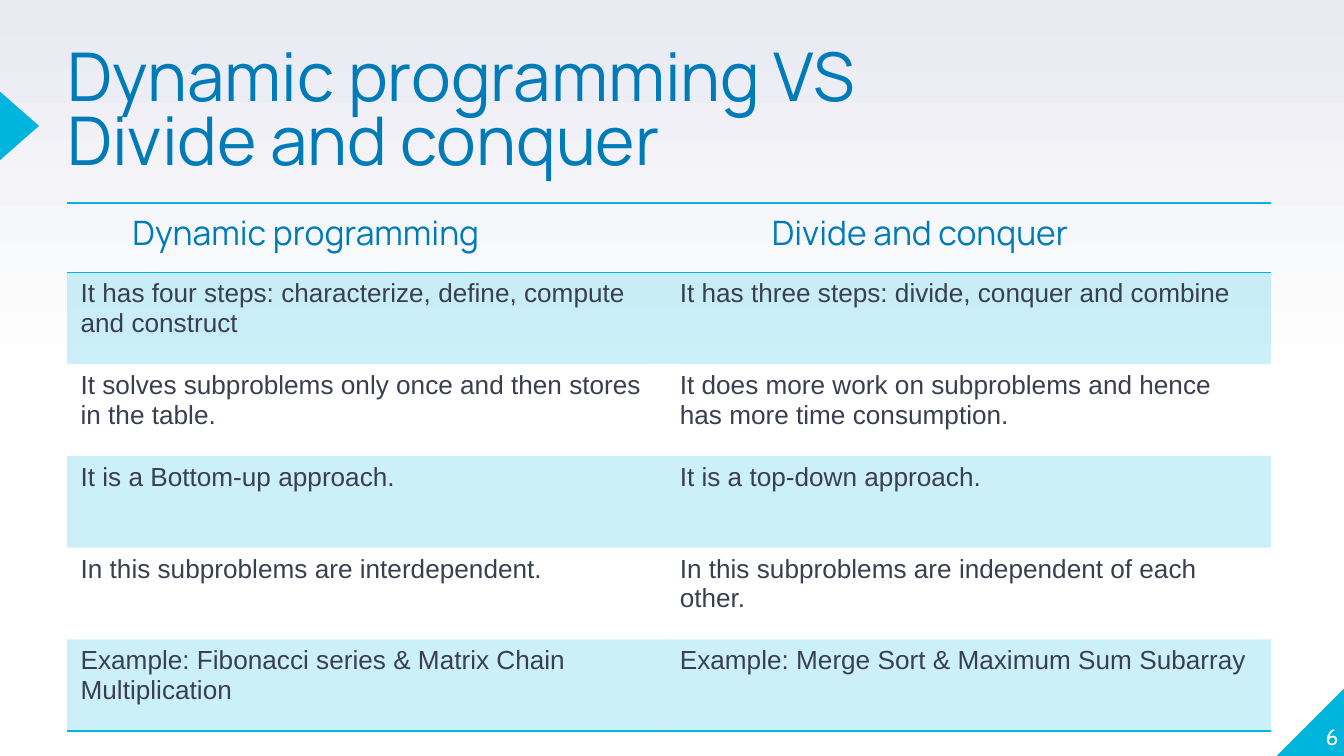
from copy import deepcopy
from dataclasses import dataclass

from lxml import etree
from pptx import Presentation
from pptx import util as u
from pptx.dml.color import RGBColor
from pptx.enum import shapes, text
from pptx.oxml.ns import qn

Pt = u.Pt


@dataclass(frozen=True)
class Theme:
    """Colours, fonts and type sizes of the slide."""
    accent: str = "00B5DD"
    heading: str = "007BB9"
    body: str = "3A3F50"
    white: str = "FFFFFF"
    haze: str = "E9EAF2"
    heading_font: str = "Manrope"
    body_font: str = "Arial"
    number_font: str = "Cabin"
    title_size: float = 36
    header_size: float = 18
    body_size: float = 14
    number_size: float = 12


THEME = Theme()
TITLE_STYLE = {"name": THEME.heading_font, "size": Pt(THEME.title_size), "color": THEME.heading}
HEADER_STYLE = {**TITLE_STYLE, "size": Pt(THEME.header_size)}
BODY_STYLE = {"name": THEME.body_font, "size": Pt(THEME.body_size), "color": THEME.body}
NUMBER_STYLE = {"name": THEME.number_font, "size": Pt(THEME.number_size), "color": THEME.white}

HEADERS = ("Dynamic programming", "Divide and conquer")
HEADER_INDENTS = (35, 56.5)
COMPARISON = (
    ("It has four steps: characterize, define, compute and construct",
     "It has three steps: divide, conquer and combine"),
    ("It solves subproblems only once and then stores in the table.",
     "It does more work on subproblems and hence has more time consumption."),
    ("It is a Bottom-up approach.", "It is a top-down approach."),
    ("In this subproblems are interdependent.",
     "In this subproblems are independent of each other."),
    ("Example: Fibonacci series & Matrix Chain Multiplication",
     "Example: Merge Sort & Maximum Sum Subarray"),
)
COLUMN_WIDTHS = (321, 324)
HEADER_HEIGHT = 37.3
ROW_HEIGHT = 49.15
PLAIN_TABLE = "{2D5ABB26-0587-4C30-8999-92F81FD0307C}"


def apply_format(target, values):
    """Set each named attribute on the target."""
    for name, value in values.items():
        setattr(target, name, value)


def write(para, words, style):
    """Add one styled span of text to a paragraph."""
    span = para.add_run()
    span.text = words
    apply_format(span.font, {key: style[key] for key in ("name", "size")})
    span.font.color.rgb = RGBColor.from_string(style["color"])


def paint_background(page):
    """Fade the page from white to haze, bottom to top."""
    fill = page.background.fill
    fill.gradient()
    fill.gradient_angle = 90
    stop_list = next(page.element.iter(qn("a:gsLst")))
    stop_list.insert(1, deepcopy(stop_list[0]))
    stops = ((0, THEME.white), (0.5, THEME.white), (1, THEME.haze))
    for stop, (position, color) in zip(fill.gradient_stops, stops):
        stop.position = position
        stop.color.rgb = RGBColor.from_string(color)


def add_accent(page, kind, frame, rotation=0, mirrored=False):
    """Add a plain accent triangle."""
    shape = page.shapes.add_shape(kind, *map(Pt, frame))
    shape.rotation = rotation
    shape.shadow.inherit = False
    shape.fill.solid()
    shape.fill.fore_color.rgb = RGBColor.from_string(THEME.accent)
    shape.line.fill.background()
    if mirrored:
        shape.element.spPr.find(qn("a:xfrm")).set("flipH", "1")


def add_text(page, frame, words, style, frame_format, para_format):
    """Add a text box without margins."""
    box = page.shapes.add_textbox(*map(Pt, frame)).text_frame
    margins = {f"margin_{side}": 0 for side in ("left", "top", "right", "bottom")}
    apply_format(box, {**margins, "word_wrap": True, **frame_format})
    para = box.paragraphs[0]
    apply_format(para, para_format)
    write(para, words, style)


def add_border(cell, tag):
    """Draw an accent line on one side of a cell."""
    line = etree.Element(qn(tag), w=str(Pt(1)))
    fill = etree.SubElement(line, qn("a:solidFill"))
    etree.SubElement(fill, qn("a:srgbClr"), val=THEME.accent)
    cell._tc.get_or_add_tcPr().insert(0, line)


def tint(cell):
    """Fill a cell with the accent at one fifth strength."""
    cell.fill.solid()
    cell.fill.fore_color.rgb = RGBColor.from_string(THEME.accent)
    color = next(cell._tc.tcPr.iter(qn("a:srgbClr")))
    etree.SubElement(color, qn("a:alpha"), val="20000")


def add_comparison(page, left, top):
    """Add the banded comparison table."""
    rows = (HEADERS, *COMPARISON)
    heights = [HEADER_HEIGHT] + [ROW_HEIGHT] * len(COMPARISON)
    frame = (left, top, sum(COLUMN_WIDTHS), sum(heights))
    table = page.shapes.add_table(len(rows), len(HEADERS), *map(Pt, frame)).table
    apply_format(table, {"first_row": False, "horz_banding": False})
    next(table._tbl.iter(qn("a:tableStyleId"))).text = PLAIN_TABLE
    for column, width in zip(table.columns, COLUMN_WIDTHS):
        column.width = Pt(width)
    for index, (words, height) in enumerate(zip(rows, heights)):
        table.rows[index].height = Pt(height)
        for place, phrase in enumerate(words):
            cell = table.cell(index, place)
            write(cell.text_frame.paragraphs[0], phrase, BODY_STYLE if index else HEADER_STYLE)
            if index % 2:
                tint(cell)
            else:
                cell.fill.background()
            if index in (0, len(rows) - 1):
                add_border(cell, "a:lnB")
            if index == 0:
                add_border(cell, "a:lnT")
                cell.margin_left = Pt(HEADER_INDENTS[place])


def main():
    """Build and save the slide."""
    deck = Presentation()
    apply_format(deck, {"slide_width": Pt(720), "slide_height": Pt(405)})
    page = deck.slides.add_slide(deck.slide_layouts[6])
    paint_background(page)
    add_accent(page, shapes.MSO_SHAPE.RIGHT_TRIANGLE, (684, 368.2, 36.8, 36.8), mirrored=True)
    add_accent(page, shapes.MSO_SHAPE.ISOSCELES_TRIANGLE, (-7.9, 57, 36.7, 20.9), rotation=90)
    add_text(page, (36, 26.6, 450, 82), "Dynamic programming VS Divide and conquer", TITLE_STYLE,
             {"vertical_anchor": text.MSO_ANCHOR.TOP}, {"line_spacing": 0.8})
    add_text(page, (681, 365, 36, 36.7), "6", NUMBER_STYLE,
             {"vertical_anchor": text.MSO_ANCHOR.BOTTOM}, {"alignment": text.PP_ALIGN.RIGHT})
    add_comparison(page, 36, 108.7)
    deck.save("out.pptx")


if __name__ == "__main__":
    main()
